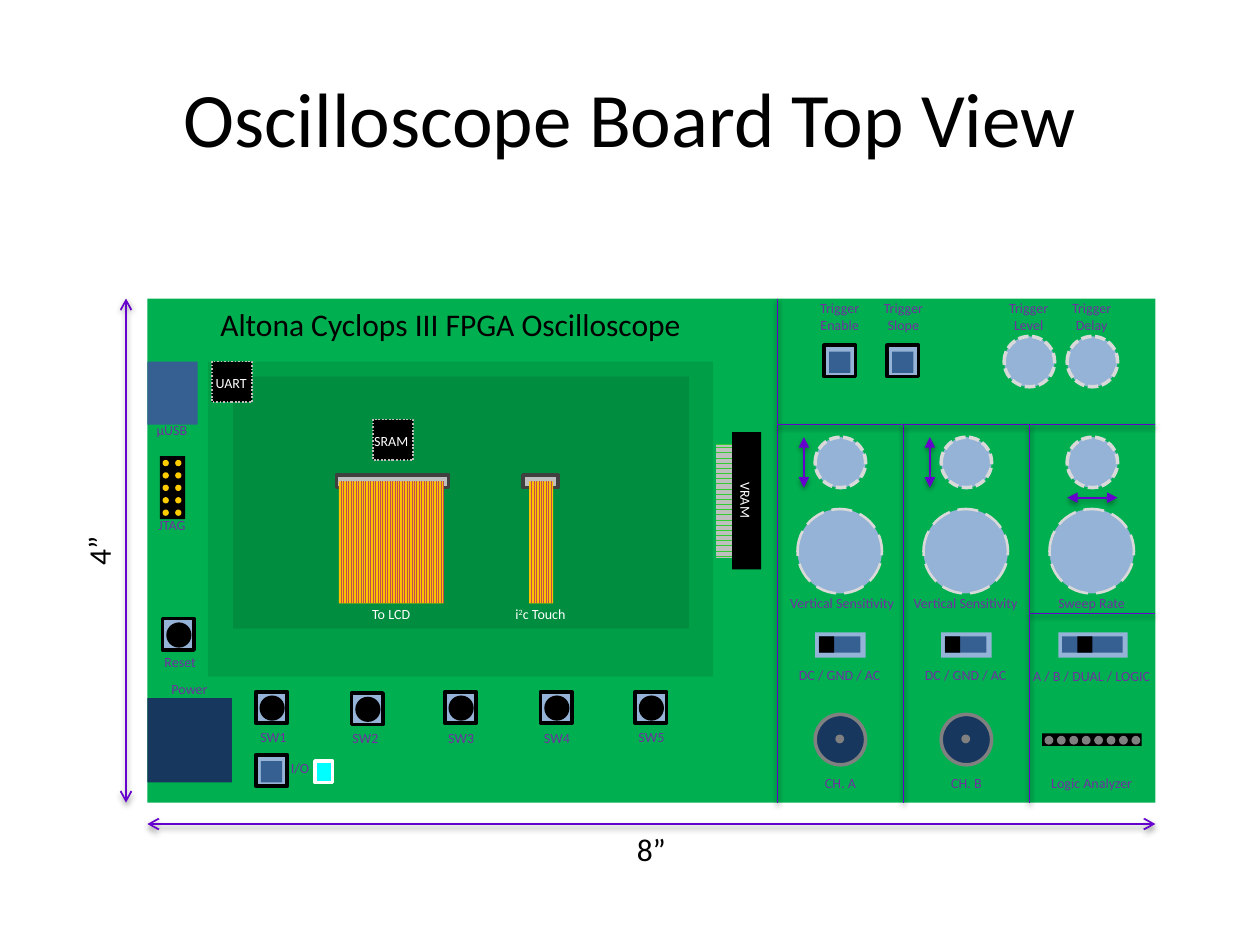
"""Build the oscilloscope board top view slide."""
import pptx
import pptx.dml.color
import pptx.enum.dml
import pptx.enum.shapes
import pptx.enum.text
import pptx.oxml
import pptx.oxml.ns
import pptx.util

Inches = pptx.util.Inches
Pt = pptx.util.Pt
RGBColor = pptx.dml.color.RGBColor
ALIGN = pptx.enum.text.PP_ALIGN
DASH = pptx.enum.dml.MSO_LINE
PATTERN = pptx.enum.dml.MSO_PATTERN
RECT = pptx.enum.shapes.MSO_SHAPE.RECTANGLE
OVAL = pptx.enum.shapes.MSO_SHAPE.OVAL

BLACK = RGBColor(0x00, 0x00, 0x00)
WHITE = RGBColor(0xFF, 0xFF, 0xFF)
GREEN = RGBColor(0x00, 0xB0, 0x50)
BRIGHT_GREEN = RGBColor(0x33, 0xCC, 0x33)
BLUE = RGBColor(0x37, 0x60, 0x92)
LIGHT_BLUE = RGBColor(0x95, 0xB3, 0xD7)
NAVY = RGBColor(0x17, 0x37, 0x5E)
CYAN = RGBColor(0x00, 0xFF, 0xFF)
GRAY = RGBColor(0x80, 0x80, 0x80)
DARK_GRAY = RGBColor(0x40, 0x40, 0x40)
SILVER = RGBColor(0xBF, 0xBF, 0xBF)
PALE_GRAY = RGBColor(0xD9, 0xD9, 0xD9)
GOLD = RGBColor(0xFF, 0xCC, 0x00)
AMBER = RGBColor(0xFF, 0xC0, 0x00)
RED = RGBColor(0xC0, 0x50, 0x4D)
PURPLE = RGBColor(0x70, 0x30, 0xA0)
VIOLET = RGBColor(0x66, 0x00, 0xCC)

NAMESPACE = pptx.oxml.ns.nsdecls("a")
SHADOW = (
    f'<a:effectLst {NAMESPACE}><a:outerShdw blurRad="39370" dist="20320" dir="5400000" rotWithShape="0">'
    '<a:srgbClr val="000000"><a:alpha val="38000"/></a:srgbClr></a:outerShdw></a:effectLst>'
)

deck = pptx.Presentation()
deck.slide_width, deck.slide_height = Inches(10), Inches(7.5)
page = deck.slides.add_slide(deck.slide_layouts[5])


def add_part(kind, left, top, width, height, fill, line=None, weight=2, dash=None, pattern=None, back=None, turn=0):
    shape = page.shapes.add_shape(kind, Inches(left), Inches(top), Inches(width), Inches(height))
    shape.shadow.inherit = False
    shape.rotation = turn
    if pattern:
        shape.fill.patterned()
        shape.fill.pattern = pattern
        shape.fill.back_color.rgb = back
    else:
        shape.fill.solid()
    shape.fill.fore_color.rgb = fill
    if line is None:
        shape.line.fill.background()
    else:
        shape.line.color.rgb = line
        shape.line.width = Pt(weight)
        if dash:
            shape.line.dash_style = dash
    return shape


def add_text(text, left, top, width, height=0.24, size=8, color=PURPLE, align=ALIGN.CENTER, turn=0):
    """Write text in a box; parts between carets are superscript."""
    box = page.shapes.add_textbox(Inches(left), Inches(top), Inches(width), Inches(height))
    box.rotation = turn
    box.text_frame.word_wrap = True
    para = box.text_frame.paragraphs[0]
    para.alignment = align
    for index, piece in enumerate(text.split("^")):
        span = para.add_run()
        span.text = piece
        span.font.name = "Calibri"
        span.font.size = Pt(size)
        span.font.color.rgb = color
        if index % 2:
            span.font._element.set("baseline", "30000")


title = page.shapes.title
title.left, title.top, title.width, title.height = Inches(0.5), Inches(0.3), Inches(9), Inches(1.25)
title.text_frame.text = "Oscilloscope Board Top View"
title.text_frame.vertical_anchor = pptx.enum.text.MSO_ANCHOR.MIDDLE
title_para = title.text_frame.paragraphs[0]
title_para.alignment = ALIGN.CENTER
title_para.font.name = "Calibri"
title_para.font.size = Pt(44)
title_para.font.color.rgb = BLACK

add_part(RECT, 1.17, 2.37, 8, 4, GREEN)
for left, top, width, height in [(1.65, 2.87, 4.01, 2.5), (1.85, 2.99, 3.62, 2)]:
    screen = add_part(RECT, left, top, width, height, BLACK)
    tint = screen._element.spPr.find(".//" + pptx.oxml.ns.qn("a:srgbClr"))
    tint.append(pptx.oxml.parse_xml(f'<a:alpha {NAMESPACE} val="10000"/>'))

for start_x, start_y, end_x, end_y, head in [
    (7.17, 3.37, 7.17, 6.37, None),
    (6.17, 2.37, 6.17, 6.37, None),
    (9.17, 3.37, 6.17, 3.37, None),
    (9.17, 4.87, 8.17, 4.87, None),
    (8.17, 3.37, 8.17, 6.37, None),
    (6.38, 3.47, 6.38, 3.87, "triangle"),
    (7.38, 3.47, 7.38, 3.87, "triangle"),
    (8.87, 3.95, 8.47, 3.95, "triangle"),
    (1, 2.37, 1, 6.37, "arrow"),
    (1.17, 6.54, 9.17, 6.54, "arrow"),
]:
    connector = page.shapes.add_connector(
        pptx.enum.shapes.MSO_CONNECTOR.STRAIGHT, Inches(start_x), Inches(start_y), Inches(end_x), Inches(end_y)
    )
    connector.line.color.rgb = VIOLET
    connector.line.width = Pt(1)
    if head:
        for end in ("headEnd", "tailEnd"):
            connector.line._get_or_add_ln().append(pptx.oxml.parse_xml(f'<a:{end} {NAMESPACE} type="{head}"/>'))
    connector._element.spPr.append(pptx.oxml.parse_xml(SHADOW))

add_part(RECT, 1.17, 2.87, 0.4, 0.5, BLUE)
add_part(RECT, 1.17, 5.54, 0.67, 0.67, NAVY)
add_part(RECT, 2.5, 6.04, 0.14, 0.17, CYAN, WHITE)

for name, left, top, label_left, label_top in [
    ("SW1", 2.03, 5.49, 1.91, 5.73),
    ("SW2", 2.79, 5.5, 2.64, 5.74),
    ("SW3", 3.53, 5.49, 3.4, 5.74),
    ("SW4", 4.29, 5.49, 4.16, 5.74),
    ("SW5", 5.04, 5.49, 4.91, 5.73),
    ("Reset", 1.29, 4.91, 1.17, 5.14),
]:
    add_part(RECT, left, top, 0.25, 0.25, LIGHT_BLUE, BLACK)
    add_part(OVAL, left + 0.03, top + 0.03, 0.2, 0.2, BLACK)
    add_text(name, label_left, label_top, 0.52)

for left, top in [(6.54, 2.74), (7.04, 2.74), (2.03, 5.99)]:
    add_part(RECT, left, top, 0.25, 0.25, LIGHT_BLUE, BLACK)
    add_part(RECT, left + 0.04, top + 0.05, 0.17, 0.17, BLUE)

for column in range(3):
    add_part(OVAL, 6.33 + column, 4.04, 0.67, 0.67, LIGHT_BLUE, PALE_GRAY, 1.5, DASH.LONG_DASH)
for left, top in [(6.47, 3.47), (7.47, 3.47), (8.47, 3.47), (7.97, 2.67), (8.47, 2.67)]:
    add_part(OVAL, left, top, 0.4, 0.4, LIGHT_BLUE, PALE_GRAY, 2, DASH.SQUARE_DOT)

for left, width, knob in [(6.47, 0.4, 6.5), (7.47, 0.4, 7.5), (8.4, 0.55, 8.55)]:
    add_part(RECT, left, 5.02, width, 0.2, LIGHT_BLUE)
    add_part(RECT, left + 0.03, 5.05, width - 0.07, 0.13, BLUE)
    add_part(RECT, knob, 5.05, 0.12, 0.13, BLACK)

for left, name in [(6.47, "CH. A"), (7.47, "CH. B")]:
    add_part(OVAL, left, 5.67, 0.4, 0.4, NAVY, GRAY)
    add_part(OVAL, left + 0.16, 5.83, 0.07, 0.07, GRAY)
    add_text(name, left - 0.06, 6.1, 0.52)

add_part(RECT, 8.27, 5.82, 0.79, 0.1, BLACK)
for pin in range(8):
    add_part(OVAL, 8.29 + 0.0986 * pin, 5.84, 0.07, 0.07, GRAY)
add_part(RECT, 1.27, 3.62, 0.2, 0.5, BLACK)
for column in range(2):
    for row in range(5):
        add_part(OVAL, 1.29 + 0.1 * column, 3.65 + 0.0985 * row, 0.05, 0.05, GOLD)

for left, width, cable_left, cable_width in [(2.67, 0.89, 2.69, 0.83), (4.15, 0.28, 4.2, 0.19)]:
    add_part(RECT, left, 3.77, width, 0.1, SILVER, DARK_GRAY)
    add_part(RECT, cable_left, 3.82, cable_width, 0.97, RED, pattern=PATTERN.NARROW_VERTICAL, back=AMBER)

for left, top in [(1.68, 2.87), (2.96, 3.33)]:
    add_part(RECT, left, top, 0.32, 0.32, BLACK, SILVER, 1, DASH.ROUND_DOT)
add_part(RECT, 5.35, 3.86, 0.9, 0.23, SILVER, pattern=PATTERN.DARK_HORIZONTAL, back=BRIGHT_GREEN, turn=90)
add_part(RECT, 5.38, 3.86, 1.09, 0.23, BLACK, turn=90)

for text, left, top, width in [
    ("µUSB", 1.1, 3.3, 0.53),
    ("JTAG", 1.1, 4.05, 0.53),
    ("Power", 1.17, 5.35, 0.67),
    ("Trigger Enable", 6.33, 2.33, 0.67),
    ("Trigger Slope", 6.78, 2.33, 0.78),
    ("Trigger Level", 7.83, 2.33, 0.67),
    ("Trigger Delay", 8.33, 2.33, 0.67),
    ("Logic Analyzer", 8.08, 6.1, 1.17),
    ("DC / GND / AC", 6.06, 5.24, 1.21),
    ("DC / GND / AC", 7.06, 5.24, 1.21),
    ("A / B / DUAL / LOGIC", 8.06, 5.25, 1.21),
    ("Vertical Sensitivity", 6.08, 4.67, 1.21),
    ("Vertical Sensitivity", 7.06, 4.67, 1.21),
    ("Sweep Rate", 8.06, 4.67, 1.21),
]:
    add_text(text, left, top, width, height=0.37 if text.startswith("Trigger") else 0.24)
add_text("I/O", 2.21, 5.98, 0.52, align=ALIGN.LEFT)

for text, left, top, width, turn in [
    ("To LCD", 2.69, 4.76, 0.83, 0),
    ("i^2^c Touch", 3.9, 4.76, 0.78, 0),
    ("VRAM", 5.5, 3.85, 0.83, 90),
    ("UART", 1.42, 2.92, 0.83, 0),
    ("SRAM", 2.69, 3.38, 0.83, 0),
]:
    add_text(text, left, top, width, color=WHITE, turn=turn)

add_text("Altona Cyclops III FPGA Oscilloscope", 1.65, 2.37, 4.01, 0.4, size=18, color=BLACK, align=ALIGN.LEFT)
add_text("8”", 1.17, 6.54, 8, 0.42, size=18, color=BLACK)
add_text("4”", -1.21, 4.16, 4, 0.42, size=18, color=BLACK, turn=270)

deck.save("out.pptx")
